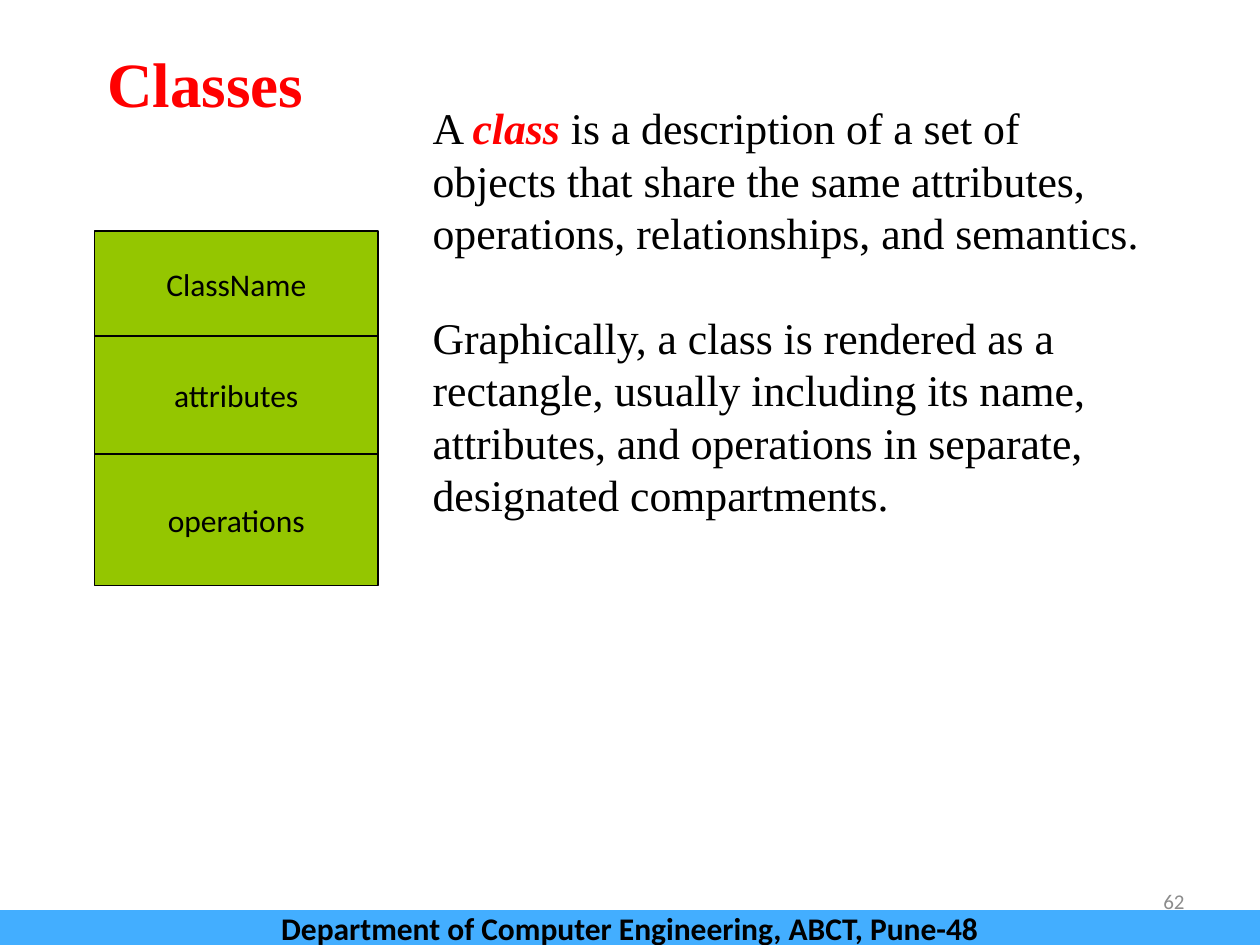
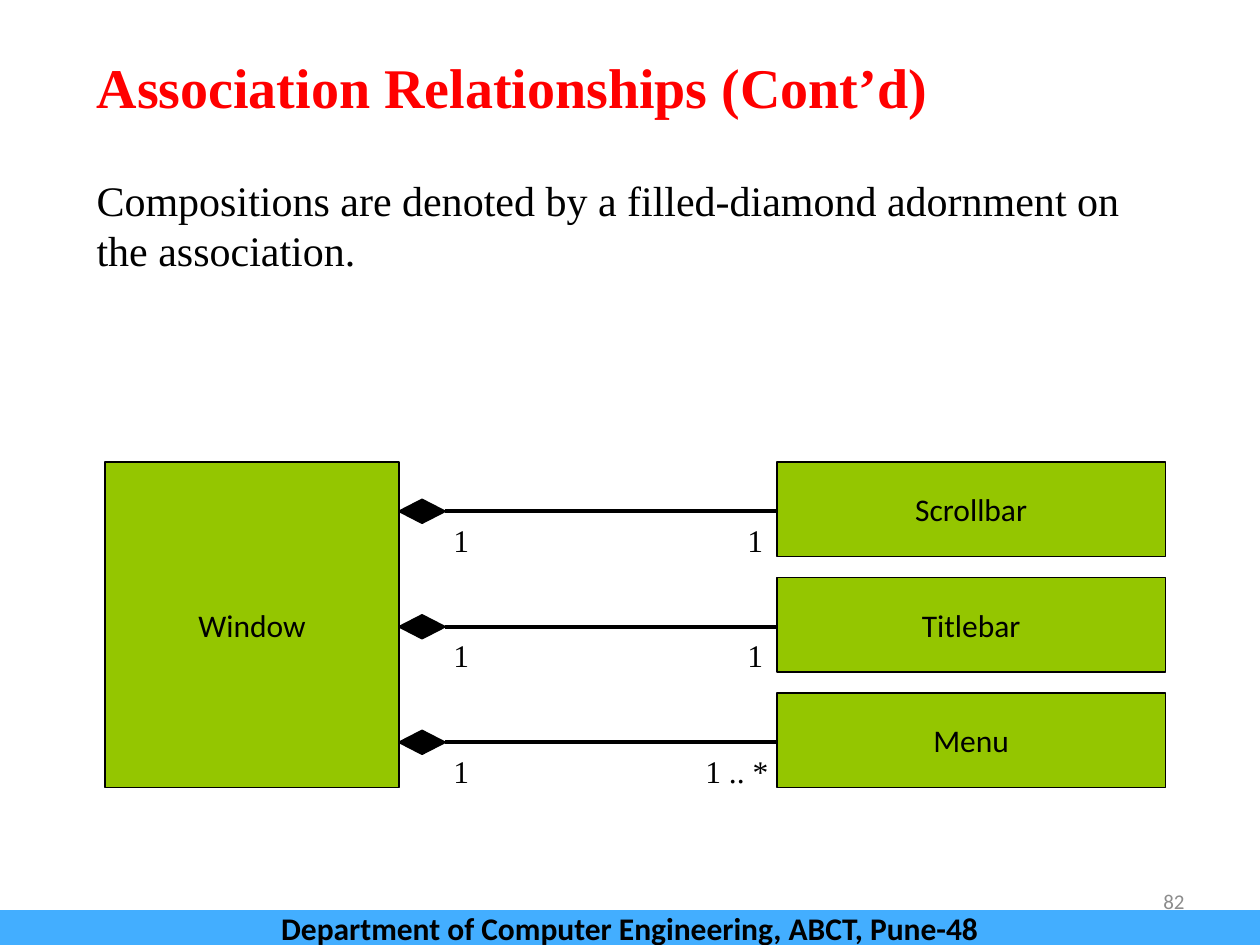
from dataclasses import dataclass

from pptx import Presentation
from pptx.dml.color import RGBColor
from pptx.enum.shapes import MSO_CONNECTOR, MSO_SHAPE
from pptx.enum.text import MSO_ANCHOR, MSO_AUTO_SIZE, PP_ALIGN
from pptx.oxml.ns import qn
from pptx.util import Inches, Pt
from lxml.etree import SubElement


@dataclass(frozen=True)
class Theme:
    red: str = "FF0000"
    black: str = "000000"
    grey: str = "8C8C8C"
    green: str = "94C600"
    blue: str = "43AEFF"
    serif: str = "Times New Roman"
    sans: str = "Calibri"
    label_size: int = 18
    number_size: int = 12
    thin: float = 0.75
    edge: float = 1
    thick: float = 2.25
    leading: float = 1.2


THEME = Theme()
COLUMNS, ROWS = 120, 90  # twelve cells to the inch
FOOTER = "Department of Computer Engineering, ABCT, Pune-48"


def cells(*counts):
    """Turn counts of grid cells into lengths."""
    return [Inches(count / 12) for count in counts]


def color(code):
    return RGBColor.from_string(code)


# Text
def add_text(para, text, size=THEME.label_size, font=THEME.sans,
             ink=THEME.black, bold=False, italic=False):
    span = para.add_run()
    span.text = text
    span.font.size = Pt(size)
    span.font.name = font
    span.font.bold = bold
    span.font.italic = italic
    span.font.color.rgb = color(ink)


def set_frame(frame, anchor, wrap=True):
    frame.auto_size = MSO_AUTO_SIZE.NONE
    frame.vertical_anchor = anchor
    frame.word_wrap = wrap


def move(box, area):
    box.left, box.top, box.width, box.height = cells(*area)


def add_title(page, text, area, size):
    title = page.shapes.title
    move(title, area)
    set_frame(title.text_frame, MSO_ANCHOR.BOTTOM)
    para = title.text_frame.paragraphs[0]
    para.alignment = PP_ALIGN.LEFT
    add_text(para, text, size=size, font=THEME.serif, ink=THEME.red, bold=True)


def add_body(page, blocks, area, size):
    """Fill the body; a block is a list of lines, a line a list of (text, format)."""
    body = page.placeholders[1]
    move(body, area)
    frame = body.text_frame
    set_frame(frame, MSO_ANCHOR.TOP)
    leading = Pt(size * THEME.leading)
    para = None
    for block_number, block in enumerate(blocks):
        for line_number, line in enumerate(block):
            para = frame.add_paragraph() if para else frame.paragraphs[0]
            para.alignment = PP_ALIGN.LEFT
            para.line_spacing = leading
            opens_block = block_number > 0 and line_number == 0
            para.space_before = leading if opens_block else Pt(0)
            properties = para._p.get_or_add_pPr()
            properties.set("marL", "0")
            properties.set("indent", "0")
            SubElement(properties, qn("a:buNone"))
            for text, style in line:
                add_text(para, text, size=size, font=THEME.serif, **style)


def add_label(page, text, area, anchor=MSO_ANCHOR.TOP, align=PP_ALIGN.LEFT, **style):
    box = page.shapes.add_textbox(*cells(*area))
    set_frame(box.text_frame, anchor)
    para = box.text_frame.paragraphs[0]
    para.alignment = align
    add_text(para, text, **style)


# Shapes
def paint(shape, fill, line_width=None):
    shape.shadow.inherit = False
    shape.fill.solid()
    shape.fill.fore_color.rgb = color(fill)
    if line_width:
        shape.line.color.rgb = color(THEME.black)
        shape.line.width = Pt(line_width)
    else:
        shape.line.fill.background()


def add_box(page, text, area, fill=THEME.green, line_width=THEME.thin, **style):
    box = page.shapes.add_shape(MSO_SHAPE.RECTANGLE, *cells(*area))
    paint(box, fill, line_width)
    set_frame(box.text_frame, MSO_ANCHOR.MIDDLE, wrap=False)
    para = box.text_frame.paragraphs[0]
    para.alignment = PP_ALIGN.CENTER
    add_text(para, text, **style)


def add_composition(page, left, right, row):
    """Draw an association with a filled diamond at its left end."""
    width, half = 4.4, 1.13
    line = page.shapes.add_connector(
        MSO_CONNECTOR.STRAIGHT, *cells(left + width, row, right, row))
    line.line.color.rgb = color(THEME.black)
    line.line.width = Pt(THEME.thick)
    SubElement(line._element.spPr, qn("a:effectLst"))

    corners = [(left, row), (left + width / 2, row - half),
               (left + width, row), (left + width / 2, row + half)]
    start, *others = [cells(*corner) for corner in corners]
    outline = page.shapes.build_freeform(*start)
    outline.add_line_segments(others, close=True)
    paint(outline.convert_to_shape(), THEME.black, THEME.edge)


def add_footer(page, number):
    add_label(page, str(number), (86, 83.4, 28, 4.8), anchor=MSO_ANCHOR.MIDDLE,
              align=PP_ALIGN.RIGHT, size=THEME.number_size, ink=THEME.grey)
    top = 86.67
    add_box(page, FOOTER, (0, top, COLUMNS, ROWS - top),
            fill=THEME.blue, line_width=None, bold=True)


# Slides
def build_classes(page):
    add_title(page, "Classes", (9, 5, 103, 7), size=36)

    # Class symbol with three stacked compartments
    top = 22
    for name, height in (("ClassName", 10), ("attributes", 11.25), ("operations", 12.5)):
        add_box(page, name, (9, top, 27, height))
        top += height

    definition = [
        [("A ", {}), ("class", dict(ink=THEME.red, bold=True, italic=True)),
         (" is a description of a set of", {})],
        [("objects that share the same attributes,", {})],
        [("operations, relationships, and semantics.", {})],
    ]
    rendering = [[(text, {})] for text in (
        "Graphically, a class is rendered as a",
        "rectangle, usually including its name,",
        "attributes, and operations in separate,",
        "designated compartments.")]
    add_body(page, [definition, rendering], (40, 9, 72.8, 51.7), size=25)
    add_footer(page, 62)


def build_associations(page):
    add_title(page, "Association Relationships (Cont’d)", (8, 5, 106, 7), size=32)
    sentence = "Compositions are denoted by a filled-diamond adornment on the association."
    add_body(page, [[[(sentence, {})]]], (8, 16, 103, 11), size=24)

    # The whole on the left, its parts on the right
    top, pitch, whole_right, parts_left = 44, 11, 38, 74
    add_box(page, "Window", (10, top, 28, 31))
    parts = (("Scrollbar", "1", 70, 4), ("Titlebar", "1", 70, 4), ("Menu", "1 .. *", 66, 10))
    for index, (name, count, count_left, count_width) in enumerate(parts):
        row = top + index * pitch
        add_composition(page, whole_right, parts_left + 0.5, row + 4.7)
        add_box(page, name, (parts_left, row, 37, 9))
        add_label(page, "1", (42, row + 5, 4, 4.8), font=THEME.serif)
        add_label(page, count, (count_left, row + 5, count_width, 4.8), font=THEME.serif)
    add_footer(page, 82)


def main():
    deck = Presentation()
    deck.slide_width, deck.slide_height = cells(COLUMNS, ROWS)
    for build in (build_classes, build_associations):
        build(deck.slides.add_slide(deck.slide_layouts[1]))
    deck.save("out.pptx")


if __name__ == "__main__":
    main()
